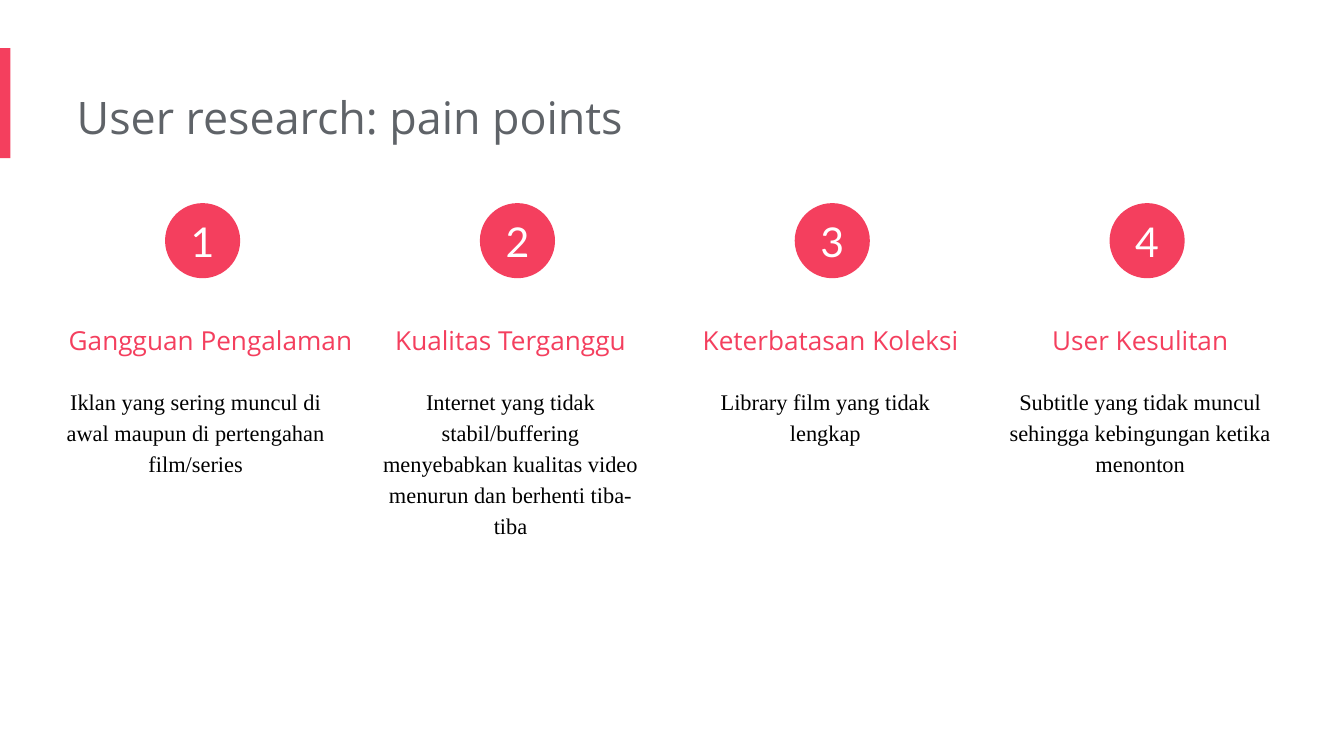
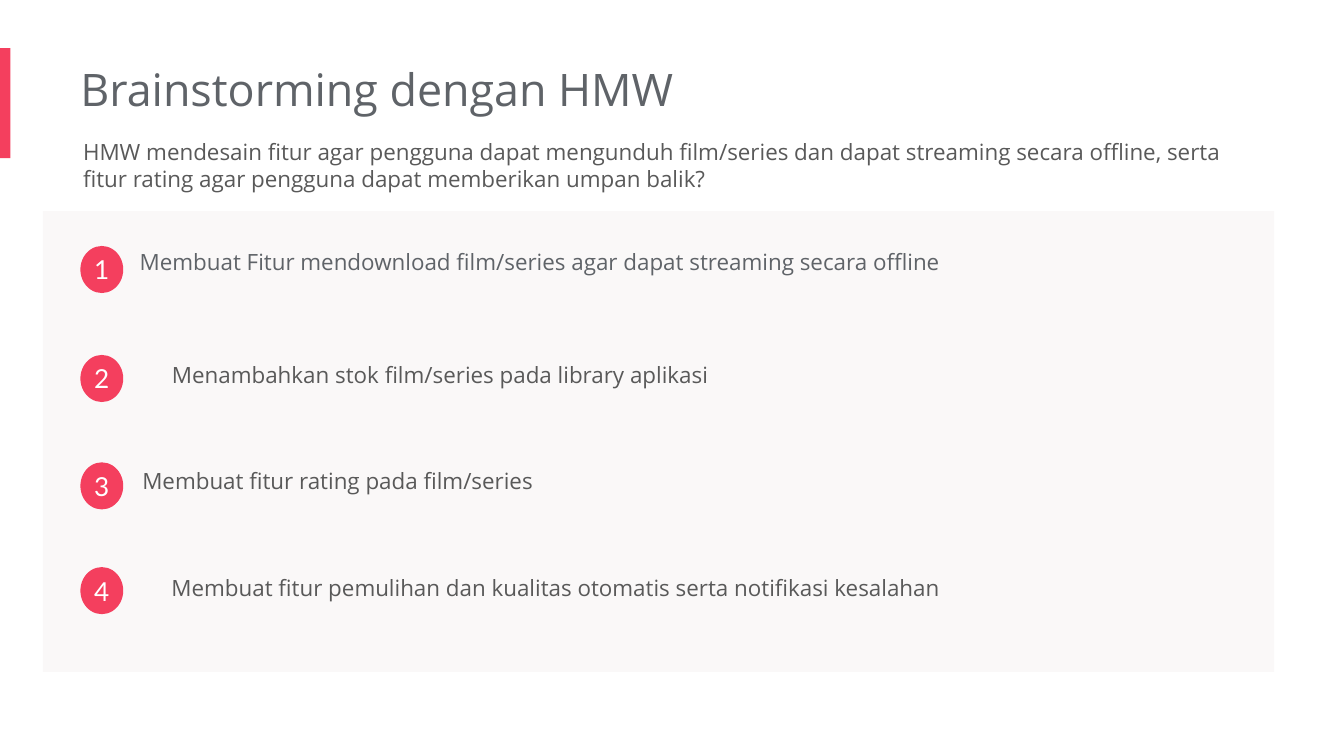
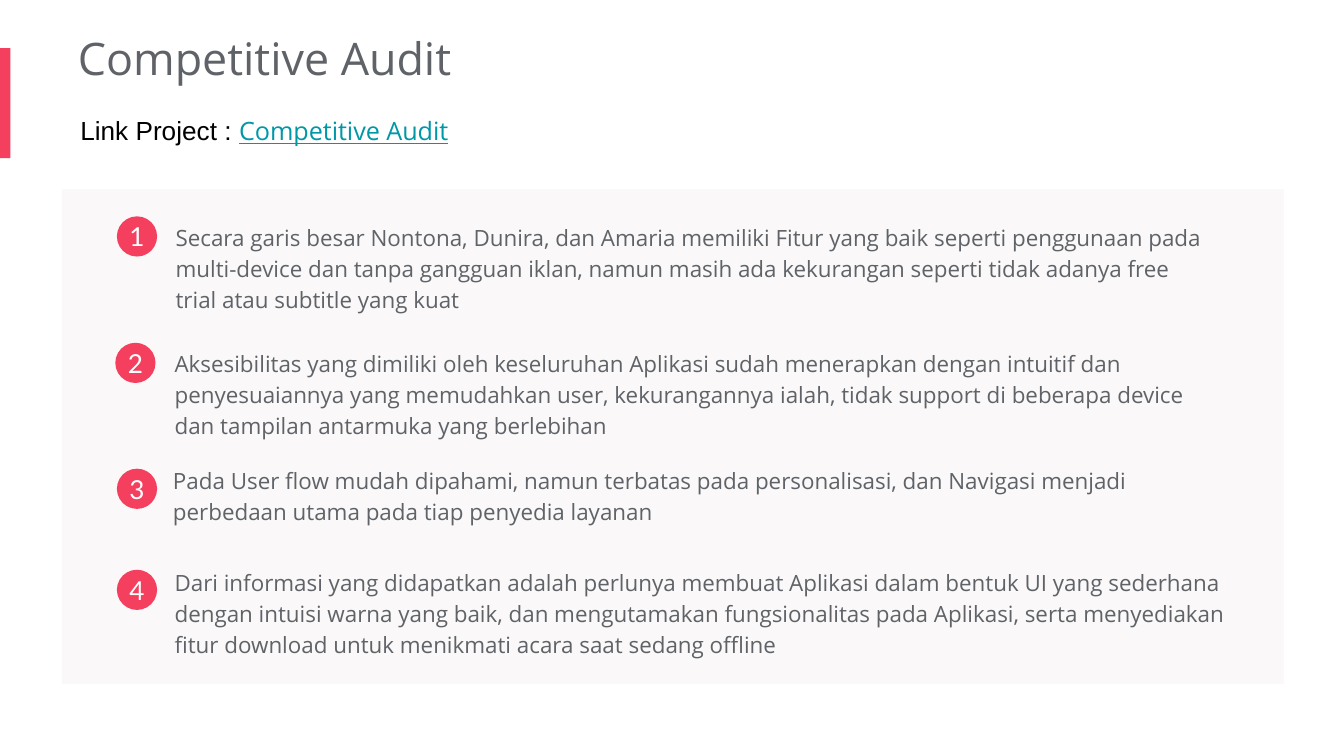
from pptx import Presentation
from pptx.dml.color import RGBColor
from pptx.enum.shapes import MSO_SHAPE
from pptx.enum.text import MSO_ANCHOR, MSO_AUTO_SIZE, PP_ALIGN
from pptx.util import Cm, Pt

ROSE = RGBColor(0xF4, 0x3F, 0x5E)
PALE = RGBColor(0xFA, 0xF8, 0xF8)
WHITE = RGBColor(0xFF, 0xFF, 0xFF)
BLACK = RGBColor(0x00, 0x00, 0x00)
SLATE = RGBColor(0x5F, 0x63, 0x68)
GREY = RGBColor(0x59, 0x59, 0x59)
TEAL = RGBColor(0x00, 0x97, 0xA7)

# Text styles: font attributes plus a colour
TITLE = {"name": "Open Sans", "size": Pt(24), "color": SLATE}
HEADING = {"name": "Open Sans", "size": Pt(14), "color": ROSE}
DETAIL = {"name": "Times New Roman", "size": Pt(12), "color": BLACK}
BODY = {"name": "Open Sans", "size": Pt(12), "color": SLATE}
BODY_GREY = {**BODY, "color": GREY}
LABEL = {"name": "Arial", "size": Pt(14), "color": BLACK}
LINK = {"name": "Open Sans", "size": Pt(13.5), "color": TEAL, "underline": True}
BADGE = {"name": "Lato", "size": Pt(14), "color": WHITE}
BADGE_LARGE = {**BADGE, "size": Pt(22)}

INSET = 0.25


def set_attributes(target, values):
    for name, value in values.items():
        setattr(target, name, value)


class Deck:
    """Holds the shared style and the slide being filled."""

    def __init__(self):
        self.presentation = Presentation()
        set_attributes(self.presentation,
                       {"slide_width": Cm(25.4), "slide_height": Cm(14.29)})
        self.layout = self.presentation.slide_layouts.get_by_name("Title Only")
        self.slide = None

    def add_slide(self, title, left, top, width):
        first = self.slide is None
        self.slide = self.presentation.slides.add_slide(self.layout)
        if first:
            # The accent band lives on the layout, shared by every slide
            band = self.shape(MSO_SHAPE.RECTANGLE, (0, 0.91, 0.2, 2.08), ROSE)
            self.layout.shapes.element.append(band.element)
        shape = self.slide.shapes.title
        self.place(shape, (left, top, width, 1.55))
        self.fill_text(shape, [(title, TITLE)], left_inset=0)

    def place(self, shape, box):
        set_attributes(shape, dict(zip(("left", "top", "width", "height"), map(Cm, box))))

    def fill_text(self, shape, runs, align=PP_ALIGN.LEFT, spacing=1.0, left_inset=INSET,
                  inset=INSET, anchor=MSO_ANCHOR.TOP, fit=MSO_AUTO_SIZE.SHAPE_TO_FIT_TEXT):
        frame = shape.text_frame
        set_attributes(frame, {
            "word_wrap": True, "auto_size": fit, "vertical_anchor": anchor,
            "margin_left": Cm(left_inset), "margin_top": Cm(inset),
            "margin_right": Cm(inset), "margin_bottom": Cm(inset)})
        paragraph = frame.paragraphs[0]
        set_attributes(paragraph, {"alignment": align, "line_spacing": spacing})
        for text, style in runs:
            run = paragraph.add_run()
            run.text = text
            set_attributes(run.font, {k: v for k, v in style.items() if k != "color"})
            run.font.color.rgb = style["color"]

    def text(self, box, runs, **layout):
        self.fill_text(self.slide.shapes.add_textbox(*map(Cm, box)), runs, **layout)

    def shape(self, kind, box, color):
        shape = self.slide.shapes.add_shape(kind, *map(Cm, box))
        shape.shadow.inherit = False
        shape.fill.solid()
        shape.fill.fore_color.rgb = color
        shape.line.fill.background()
        return shape

    def panel(self, box):
        self.shape(MSO_SHAPE.RECTANGLE, box, PALE)

    def badge(self, number, box, style=BADGE):
        circle = self.shape(MSO_SHAPE.OVAL, box, ROSE)
        self.fill_text(circle, [(str(number), style)], align=PP_ALIGN.CENTER, left_inset=0,
                       inset=0, anchor=MSO_ANCHOR.MIDDLE, fit=MSO_AUTO_SIZE.NONE)


def add_pain_points(deck):
    deck.add_slide("User research: pain points", 1.45, 1.45, 17.09)
    # Heading, heading width, detail, detail height
    pain_points = [
        ("Gangguan Pengalaman", 5.77,
         "Iklan yang sering muncul di awal maupun di pertengahan film/series", 3.23),
        ("Kualitas Terganggu", 5.21,
         "Internet yang tidak stabil/buffering menyebabkan kualitas video menurun "
         "dan berhenti tiba-tiba", 4.39),
        ("Keterbatasan Koleksi", 5.41, "Library film yang tidak lengkap", 2.64),
        ("User Kesulitan", 5.21,
         "Subtitle yang tidak muncul sehingga kebingungan ketika menonton", 3.23),
    ]
    for index, (heading, width, detail, height) in enumerate(pain_points):
        offset = index * 5.95
        left = 1.22 + offset
        deck.text((left, 5.59, width, 1.12), [(heading, HEADING)],
                  align=PP_ALIGN.CENTER, spacing=1.5, left_inset=0)
        deck.text((left, 7.01, 5.21, height), [(detail, DETAIL)],
                  align=PP_ALIGN.CENTER, spacing=1.15, left_inset=0)
        deck.badge(index + 1, (3.12 + offset, 3.84, 1.42, 1.42), BADGE_LARGE)


def add_brainstorming(deck):
    deck.add_slide("Brainstorming dengan HMW", 1.52, 0.91, 16.97)
    deck.panel((0.81, 3.99, 23.27, 8.71))
    # Text, style, alignment, left inset, text box, badge top
    ideas = [
        ("Membuat Fitur mendownload film/series agar dapat streaming secara offline",
         BODY, PP_ALIGN.JUSTIFY, INSET, (2.39, 4.37, 21.18, 1.02), 4.65),
        ("Menambahkan stok film/series pada library aplikasi",
         BODY_GREY, PP_ALIGN.LEFT, 0.81, (2.44, 6.5, 21.54, 1.02), 6.71),
        ("Membuat fitur rating pada film/series",
         BODY_GREY, PP_ALIGN.JUSTIFY, INSET, (2.44, 8.51, 18.8, 1.02), 8.74),
        ("Membuat fitur pemulihan dan kualitas otomatis serta notifikasi kesalahan",
         BODY_GREY, PP_ALIGN.LEFT, 0.7, (2.54, 10.52, 21.31, 1.02), 10.72),
    ]
    for number, (idea, style, align, inset, box, badge_top) in enumerate(ideas, 1):
        deck.text(box, [(idea, style)], align=align, spacing=1.15, left_inset=inset)
        deck.badge(number, (1.52, badge_top, 0.81, 0.89))
    # Guiding question
    deck.text((1.32, 2.36, 22.3, 1.55), [(
        "HMW mendesain fitur agar pengguna dapat mengunduh film/series dan dapat "
        "streaming secara offline, serta fitur rating agar pengguna dapat memberikan "
        "umpan balik?", BODY_GREY)])


def add_competitive_audit(deck):
    deck.add_slide("Competitive Audit", 1.47, 0.33, 16.97)
    deck.panel((1.17, 3.58, 23.09, 9.35))
    # Text, text box, badge left and top
    findings = [
        ("Secara garis besar Nontona, Dunira, dan Amaria memiliki Fitur yang baik seperti "
         "penggunaan pada multi-device dan tanpa gangguan iklan, namun masih ada "
         "kekurangan seperti tidak adanya free trial atau subtitle yang kuat",
         (3.07, 3.91, 20.09, 2.21), (2.21, 4.09)),
        ("Aksesibilitas yang dimiliki oleh keseluruhan Aplikasi sudah menerapkan dengan "
         "intuitif dan penyesuaiannya yang memudahkan user, kekurangannya ialah, tidak "
         "support di beberapa device dan tampilan antarmuka yang berlebihan",
         (3.05, 6.3, 20.42, 2.21), (2.18, 6.48)),
        ("Pada User flow mudah dipahami, namun terbatas pada personalisasi, dan Navigasi "
         "menjadi perbedaan utama pada tiap penyedia layanan",
         (3.02, 8.51, 20.22, 1.63), (2.21, 8.86)),
        ("Dari informasi yang didapatkan adalah perlunya membuat Aplikasi dalam bentuk UI "
         "yang sederhana dengan intuisi warna yang baik, dan mengutamakan fungsionalitas "
         "pada Aplikasi, serta menyediakan fitur download untuk menikmati acara saat "
         "sedang offline",
         (3.05, 10.44, 20.42, 2.21), (2.21, 10.77)),
    ]
    for number, (finding, box, corner) in enumerate(findings, 1):
        deck.text(box, [(finding, BODY)], spacing=1.15)
        deck.badge(number, (*corner, 0.76, 0.76))
    # Project reference
    deck.text((1.27, 1.83, 8.05, 1.12),
              [("Link Project : ", LABEL), ("Competitive Audit", LINK)], spacing=1.15)


def main():
    deck = Deck()
    add_pain_points(deck)
    add_brainstorming(deck)
    add_competitive_audit(deck)
    deck.presentation.save("out.pptx")


if __name__ == "__main__":
    main()
